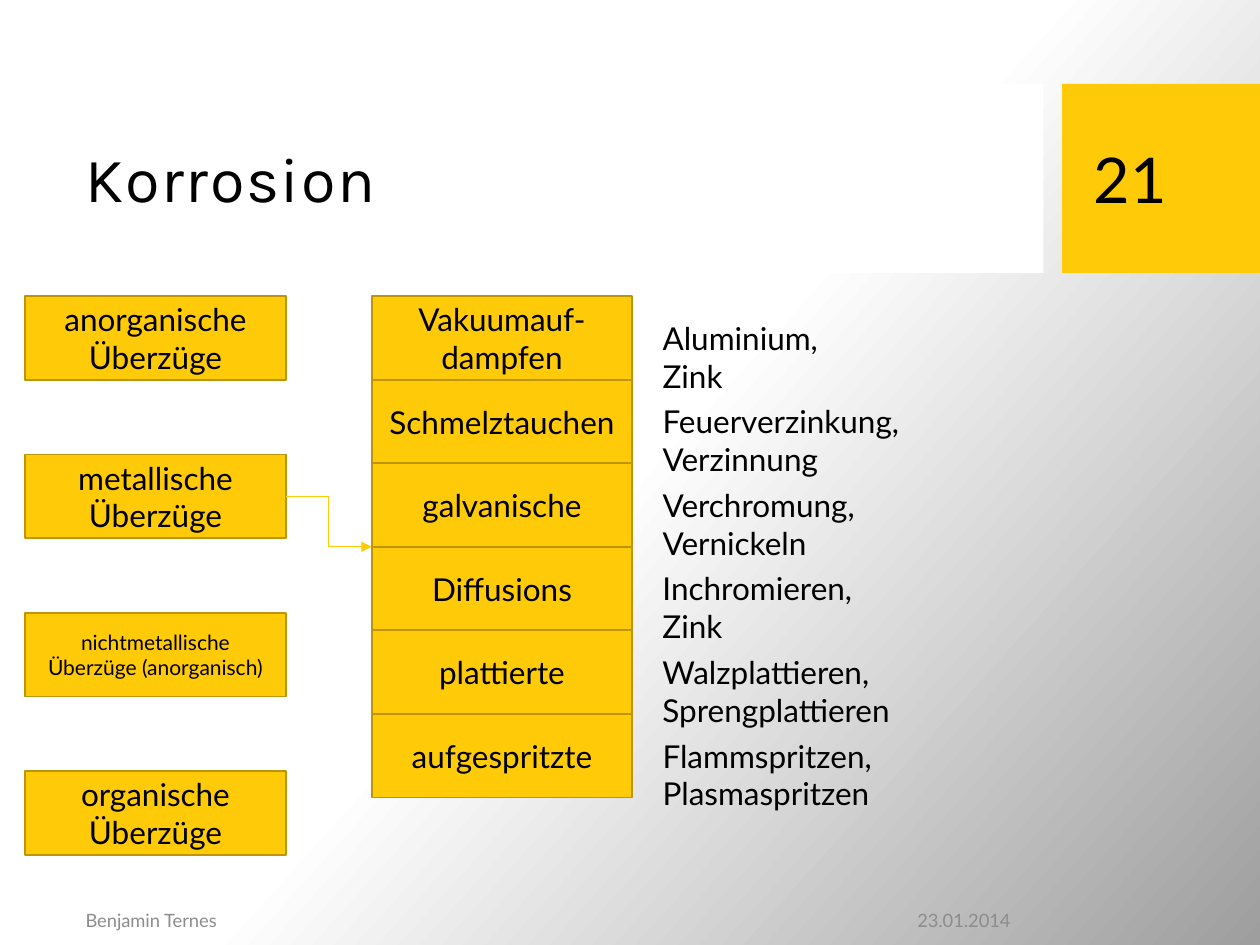
from lxml.etree import SubElement
from pptx import Presentation
from pptx.dml.color import RGBColor
from pptx.enum.shapes import MSO_CONNECTOR, MSO_SHAPE
from pptx.enum.text import MSO_ANCHOR, PP_ALIGN
from pptx.oxml.ns import qn
from pptx.util import Pt

COATINGS = [
    ("anorganische\nÜberzüge", 18),
    ("metallische Überzüge", 18),
    ("nichtmetallische\nÜberzüge (anorganisch)", 12),
    ("organische\nÜberzüge", 18),
]
METHODS = [
    ("Vakuumauf-\ndampfen", "Aluminium,\vZink", 142),
    ("Schmelztauchen", "Feuerverzinkung,\vVerzinnung", 240),
    ("galvanische", "Verchromung,\vVernickeln", 209),
    ("Diffusions", "Inchromieren,\vZink", 158),
    ("plattierte", "Walzplattieren,\vSprengplattieren", 263.5),
    ("aufgespritzte", "Flammspritzen,\vPlasmaspritzen", 250.5),
]
YELLOW, OCHRE, GREY = "FFCA08", "BD9506", "8C8C8C"
TOP, BOX_W, BOX_H = 169.2, 149, 47.75
COATING_X, COATING_STEP = 14.4, 90.5
METHOD_X, EXAMPLE_X = 212.4, 371.5


def rgb(value):
    return RGBColor.from_string(value)


def write(shape, text, size=18, color="000000", font="Lato", align=PP_ALIGN.LEFT,
          anchor=MSO_ANCHOR.MIDDLE, spacing=0):
    """Fill a shape with uniformly formatted text."""
    tf = shape.text_frame
    tf.word_wrap = True
    tf.vertical_anchor = anchor
    tf.text = text
    for p in tf.paragraphs:
        p.alignment = align
        for r in p.runs:
            r.font.size, r.font.name = Pt(size), font
            r.font.color.rgb = rgb(color)
            if spacing:
                r.font._element.set("spc", str(int(spacing * 100)))


def add_box(s, x, y, w, h, fill, line=None):
    box = s.shapes.add_shape(MSO_SHAPE.RECTANGLE, Pt(x), Pt(y), Pt(w), Pt(h))
    box.shadow.inherit = False
    box.fill.solid()
    box.fill.fore_color.rgb = rgb(fill)
    if line:
        box.line.color.rgb = rgb(line)
        box.line.width = Pt(1)
    else:
        box.line.fill.background()
    return box


def add_label(s, text, x, y, w, h, **style):
    write(s.shapes.add_textbox(Pt(x), Pt(y), Pt(w), Pt(h)), text, **style)


def set_background(s):
    fill = s.background.fill
    fill.gradient()
    fill.gradient_angle = 318
    for stop, position, color in zip(fill.gradient_stops, (0.5, 1), ("FFFFFF", "9E9E9E")):
        stop.position = position
        stop.color.rgb = rgb(color)


def add_header(s):
    add_box(s, 0, 48, 596.2, 108, "FFFFFF")
    add_box(s, 607, 48, 113, 108, YELLOW)
    title = s.shapes.title
    title.left, title.top, title.width, title.height = Pt(41.8), Pt(59), Pt(543), Pt(85)
    write(title, "Korrosion", size=36, font="Karla", spacing=0.9)
    title.element.getparent().append(title.element)
    add_label(s, "21", 617.8, 59, 91.4, 85.7, size=36)


def add_arrow(s, source, x, y):
    arrow = s.shapes.add_connector(MSO_CONNECTOR.ELBOW, 0, 0, Pt(x), Pt(y))
    arrow.begin_connect(source, 3)
    arrow.line.color.rgb = rgb(YELLOW)
    arrow.line.width = Pt(0.5)
    SubElement(arrow.line._get_or_add_ln(), qn("a:tailEnd"), type="triangle")
    SubElement(arrow.element.spPr, qn("a:effectLst"))


def main():
    prs = Presentation()
    prs.slide_width, prs.slide_height = Pt(720), Pt(540)
    s = prs.slides.add_slide(prs.slide_layouts[5])
    set_background(s)
    add_header(s)
    add_label(s, "23.01.2014", 422.6, 511.2, 162, 28.8,
              size=10.5, color=GREY, align=PP_ALIGN.RIGHT)
    add_label(s, "Benjamin Ternes", 41.8, 511.2, 380.9, 28.8, size=10.5, color=GREY)

    coating_boxes = []
    for i, (text, size) in enumerate(COATINGS):
        box = add_box(s, COATING_X, TOP + i * COATING_STEP, BOX_W, BOX_H, YELLOW, OCHRE)
        write(box, text, size=size, align=PP_ALIGN.CENTER)
        coating_boxes.append(box)

    for i, (method, examples, width) in enumerate(METHODS):
        y = TOP + i * BOX_H
        box = add_box(s, METHOD_X, y, BOX_W, BOX_H, YELLOW, OCHRE)
        write(box, method, align=PP_ALIGN.CENTER)
        add_label(s, examples, EXAMPLE_X, y + 9.4, width, 29, anchor=MSO_ANCHOR.TOP)

    add_arrow(s, coating_boxes[1], METHOD_X, TOP + len(METHODS) * BOX_H / 2)
    prs.save("out.pptx")


if __name__ == "__main__":
    main()
